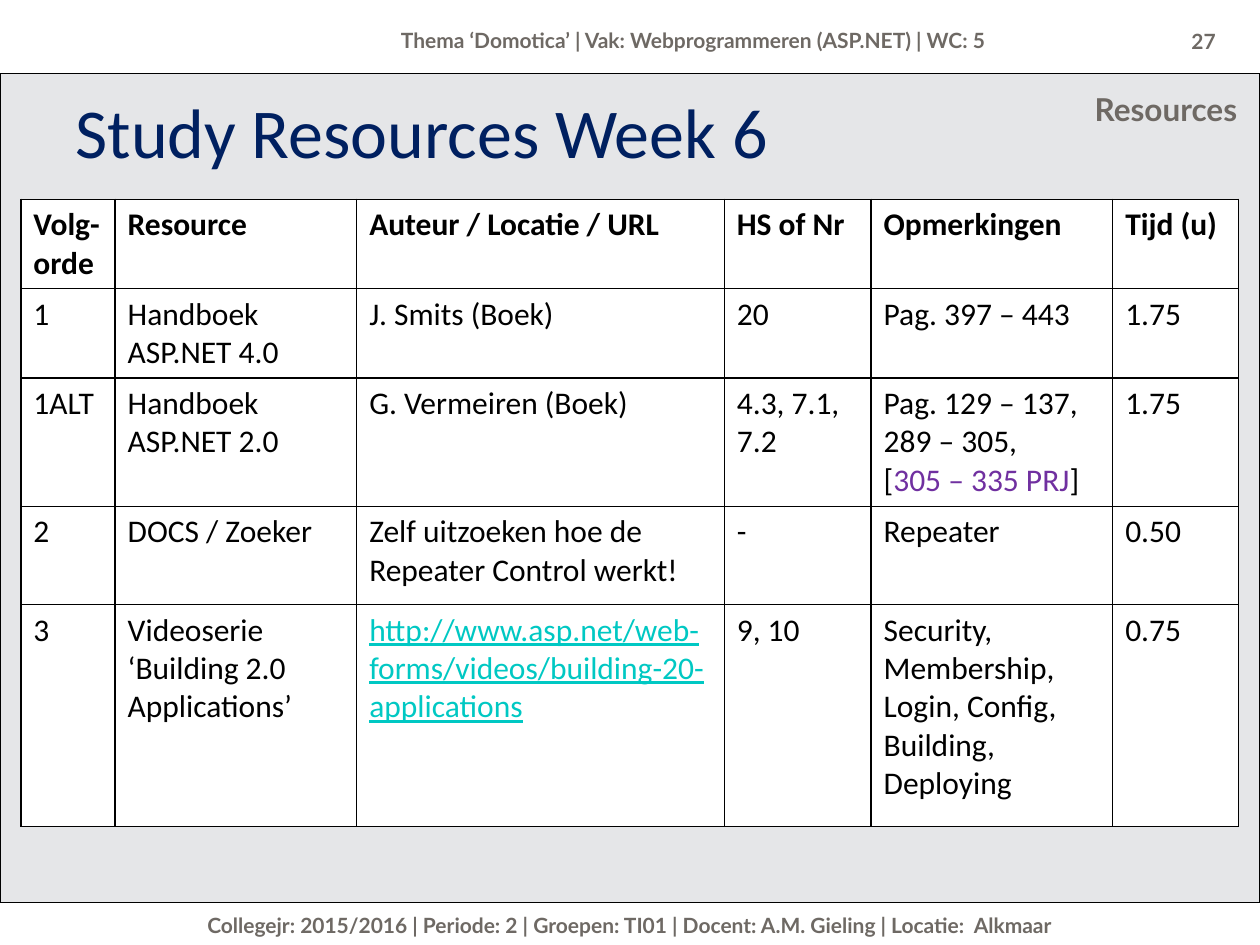
from dataclasses import dataclass

from lxml.etree import SubElement
from pptx import Presentation
from pptx.dml.color import RGBColor
from pptx.enum.shapes import MSO_SHAPE
from pptx.enum.text import MSO_ANCHOR as Anchor, PP_ALIGN as Align
from pptx.oxml.ns import qn
from pptx.util import Cm, Pt


@dataclass(frozen=True)
class Theme:
    head_font: str = "Calibri"
    label_font: str = "Lato"
    title: str = "002060"
    label: str = "6E6964"
    panel: str = "E5E6E8"
    paper: str = "FFFFFF"
    ink: str = "000000"
    accent: str = "7030A0"
    link: str = "00C8C3"
    title_size: int = 40
    body_size: int = 18
    small_size: int = 12


T = Theme()

COL_WIDTHS = [1.9, 4.87, 7.41, 2.96, 4.87, 2.54]
ROW_HEIGHTS = [1.8, 1.8, 2.59, 1.98, 4.47]

# A cell is a string, or a list of paragraphs; a paragraph is a string
# or a list of (text, format) runs.
ROWS = [
    ["Volg-orde", "Resource", "Auteur / Locatie / URL", "HS of Nr",
     "Opmerkingen", "Tijd (u)"],
    ["1", "Handboek ASP.NET 4.0", "J. Smits (Boek)", "20",
     "Pag. 397 – 443", "1.75"],
    ["1ALT", "Handboek ASP.NET 2.0", "G. Vermeiren (Boek)", "4.3, 7.1, 7.2",
     ["Pag. 129 – 137,", "289 – 305,",
      [("[", {}), ("305 – 335 PRJ", {"color": T.accent}), ("]", {})]],
     "1.75"],
    ["2", "DOCS / Zoeker", "Zelf uitzoeken hoe de Repeater Control werkt!",
     "-", "Repeater", "0.50"],
    ["3", "Videoserie ‘Building 2.0 Applications’",
     [[("http://www.asp.net/web-forms/videos/building-20-applications",
        {"color": T.link, "underline": True})]],
     "9, 10", "Security, Membership, Login, Config, Building, Deploying",
     "0.75"],
]


def rgb(value):
    return RGBColor.from_string(value)


def write(tf, content, *, font=T.head_font, size=T.body_size, color=T.ink,
          bold=False, align=Align.LEFT, anchor=Anchor.TOP):
    """Fill a text frame with formatted paragraphs."""
    tf.word_wrap = True
    tf.vertical_anchor = anchor
    paragraphs = [content] if isinstance(content, str) else content
    for i, runs in enumerate(paragraphs):
        p = tf.paragraphs[0] if i == 0 else tf.add_paragraph()
        p.alignment = align
        for text, fmt in [(runs, {})] if isinstance(runs, str) else runs:
            r = p.add_run()
            r.text = text
            r.font.name = font
            r.font.size = Pt(size)
            r.font.bold = bold
            r.font.underline = fmt.get("underline", False)
            r.font.color.rgb = rgb(fmt.get("color", color))


def add_label(s, text, x, y, w, h, **fmt):
    box = s.shapes.add_textbox(Cm(x), Cm(y), Cm(w), Cm(h))
    style = dict(font=T.label_font, size=T.small_size, color=T.label,
                 bold=True, align=Align.CENTER)
    write(box.text_frame, text, **(style | fmt))


def add_panel(s, x, y, w, h):
    sp = s.shapes.add_shape(MSO_SHAPE.RECTANGLE, Cm(x), Cm(y), Cm(w), Cm(h))
    sp.shadow.inherit = False
    sp.fill.solid()
    sp.fill.fore_color.rgb = rgb(T.panel)
    sp.line.color.rgb = rgb(T.ink)
    sp.line.width = Pt(0.75)
    # The panel lies behind the title
    s.shapes.title.element.addprevious(sp.element)


def set_title(s, text, x, y, w, h):
    title = s.shapes.title
    title.left, title.top, title.width, title.height = map(Cm, (x, y, w, h))
    write(title.text_frame, text, size=T.title_size, color=T.title,
          anchor=Anchor.MIDDLE)


def set_borders(cell):
    # Borders must come before the fill in the cell properties
    tc_pr = cell._tc.get_or_add_tcPr()
    for side in ("a:lnL", "a:lnR", "a:lnT", "a:lnB"):
        ln = SubElement(tc_pr, qn(side), w=str(Pt(1)))
        fill = SubElement(ln, qn("a:solidFill"))
        SubElement(fill, qn("a:srgbClr"), val=T.ink)


def add_resource_table(s, x, y):
    table = s.shapes.add_table(
        len(ROWS), len(COL_WIDTHS), Cm(x), Cm(y),
        Cm(sum(COL_WIDTHS)), Cm(sum(ROW_HEIGHTS))).table
    for col, width in zip(table.columns, COL_WIDTHS):
        col.width = Cm(width)
    for i, (height, contents) in enumerate(zip(ROW_HEIGHTS, ROWS)):
        table.rows[i].height = Cm(height)
        for cell, content in zip(table.rows[i].cells, contents):
            set_borders(cell)
            cell.fill.solid()
            cell.fill.fore_color.rgb = rgb(T.paper)
            write(cell.text_frame, content, bold=i == 0)


def main():
    prs = Presentation()
    prs.slide_width, prs.slide_height = Cm(25.4), Cm(19.05)
    s = prs.slides.add_slide(prs.slide_layouts[5])

    # Panel, footer and header
    add_panel(s, 0, 1.48, 25.4, 16.72)
    add_label(s, "Collegejr: 2015/2016 | Periode: 2 | Groepen: TI01 | "
              "Docent: A.M. Gieling | Locatie:  Alkmaar", 0, 18.27, 25.4, 0.76)
    add_label(s, "Thema ‘Domotica’ | Vak: Webprogrammeren (ASP.NET) | WC: 5",
              5.72, 0.43, 16.51, 0.76)
    add_label(s, "27", 23.49, 0.43, 1.27, 0.81, align=Align.RIGHT,
              anchor=Anchor.MIDDLE)

    # Title and section label
    set_title(s, "Study Resources Week 6", 1.27, 1.9, 22.86, 1.48)
    add_label(s, "Resources", 17.36, 1.7, 7.83, 1.07, size=T.body_size,
              align=Align.RIGHT)

    # Study resources
    add_resource_table(s, 0.42, 4.02)

    prs.save("out.pptx")


if __name__ == "__main__":
    main()
